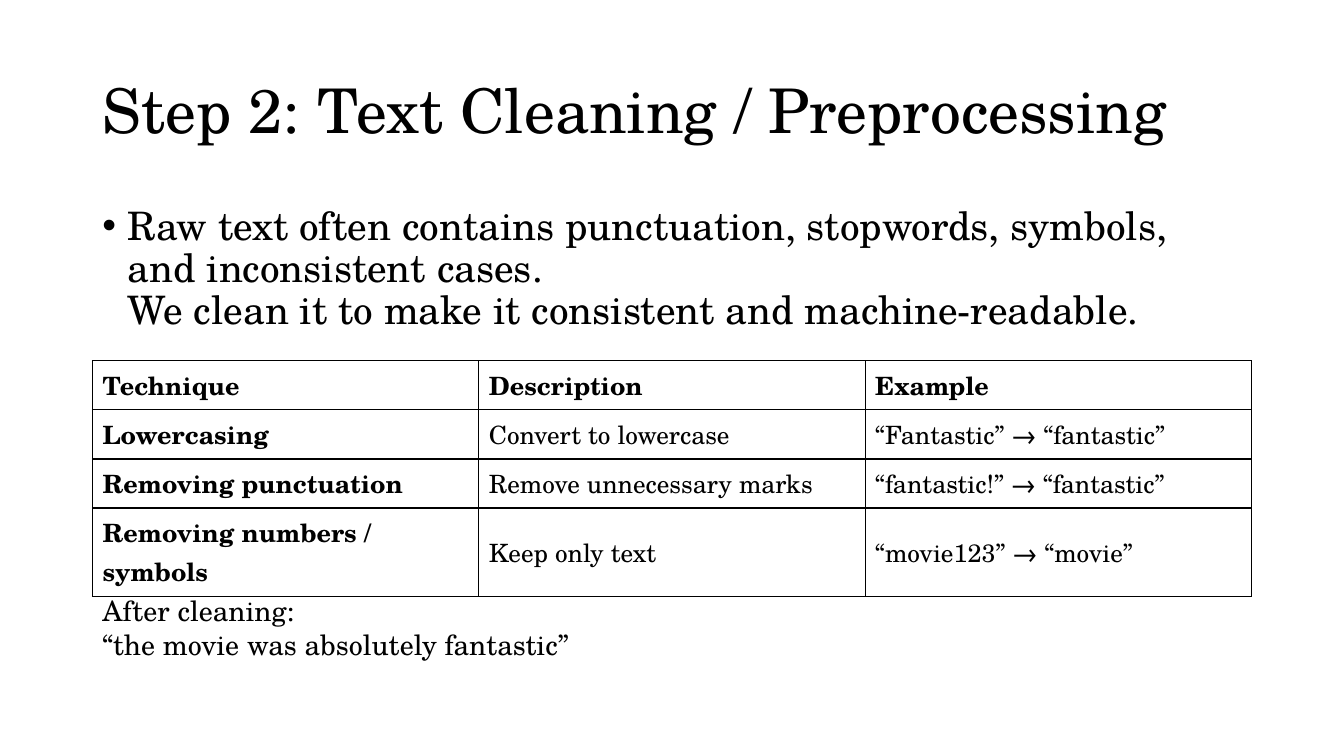
from dataclasses import dataclass

from lxml import etree
from pptx import Presentation
from pptx.dml.color import RGBColor
from pptx.enum import text
from pptx.oxml import ns
from pptx.util import Cm, Pt


@dataclass(frozen=True)
class Theme:
    font: str = "TeX Gyre Schola"
    ink: str = "000000"
    title: int = 44
    body: int = 28
    note: int = 20
    cell: int = 18


theme = Theme()


def write(frame, lines, size, anchor, spacing=1.0, bold=False, bullet=False):
    """Fill a text frame with one paragraph per line."""
    frame_format = {"word_wrap": True, "auto_size": text.MSO_AUTO_SIZE.NONE,
                    "vertical_anchor": anchor}
    font_format = {"name": theme.font, "size": Pt(size), "bold": bold}
    for name, value in frame_format.items():
        setattr(frame, name, value)
    frame.text = "\n".join(lines)
    for paragraph in frame.paragraphs:
        paragraph.alignment = text.PP_ALIGN.LEFT
        paragraph.line_spacing = spacing
        if bullet:
            properties = paragraph._p.get_or_add_pPr()
            properties.set("marL", str(Cm(0.64)))
            properties.set("indent", str(-Cm(0.64)))
            etree.SubElement(properties, ns.qn("a:buFont"), typeface="Arial")
            etree.SubElement(properties, ns.qn("a:buChar"), char="•")
        for run in paragraph.runs:
            for name, value in font_format.items():
                setattr(run.font, name, value)
            run.font.color.rgb = RGBColor.from_string(theme.ink)


def add_borders(cell):
    """Draw a thin line on all four sides of a table cell."""
    properties = cell._tc.get_or_add_tcPr()
    for position, side in enumerate(("lnL", "lnR", "lnT", "lnB")):
        line = etree.Element(ns.qn(f"a:{side}"), w=str(Pt(1)))
        fill = etree.SubElement(line, ns.qn("a:solidFill"))
        etree.SubElement(fill, ns.qn("a:srgbClr"), val=theme.ink)
        properties.insert(position, line)


presentation = Presentation()
presentation.slide_width, presentation.slide_height = Cm(33.87), Cm(19.05)
slide = presentation.slides.add_slide(presentation.slide_layouts[5])
left, width = Cm(2.33), Cm(29.21)
middle, top = text.MSO_ANCHOR.MIDDLE, text.MSO_ANCHOR.TOP

# Title
title = slide.shapes.title
title_place = {"left": left, "top": Cm(1.01), "width": width, "height": Cm(3.68)}
for name, value in title_place.items():
    setattr(title, name, value)
write(title.text_frame, ["Step 2: Text Cleaning / Preprocessing"],
      theme.title, middle, spacing=0.9)

# Introduction, with a line break inside the bullet
introduction = slide.shapes.add_textbox(left, Cm(5.07), width, Cm(12.09))
write(introduction.text_frame,
      ["Raw text often contains punctuation, stopwords, symbols, "
       "and inconsistent cases.\v"
       "We clean it to make it consistent and machine-readable."],
      theme.body, top, spacing=0.9, bullet=True)

# Table of techniques
techniques = [
    ("Technique", "Description", "Example"),
    ("Lowercasing", "Convert to lowercase", "“Fantastic” → “fantastic”"),
    ("Removing punctuation", "Remove unnecessary marks", "“fantastic!” → “fantastic”"),
    ("Removing numbers / symbols", "Keep only text", "“movie123” → “movie”"),
]
row_heights = [Cm(1.23)] * 3 + [Cm(2.22)]
table = slide.shapes.add_table(len(techniques), 3, left, Cm(9.09),
                               width, sum(row_heights)).table
table.first_row = table.horz_banding = False
for column in table.columns:
    column.width = width // 3
for row_index, values in enumerate(techniques):
    table.rows[row_index].height = row_heights[row_index]
    for column_index, value in enumerate(values):
        cell = table.cell(row_index, column_index)
        write(cell.text_frame, [value], theme.cell, top,
              bold=row_index == 0 or column_index == 0)
        cell.vertical_anchor = middle
        cell.fill.background()
        add_borders(cell)

# Result after cleaning
result = slide.shapes.add_textbox(left, Cm(14.83), Cm(14.38), Cm(1.96))
write(result.text_frame,
      ["After cleaning:", "“the movie was absolutely fantastic”"],
      theme.note, middle)

presentation.save("out.pptx")
